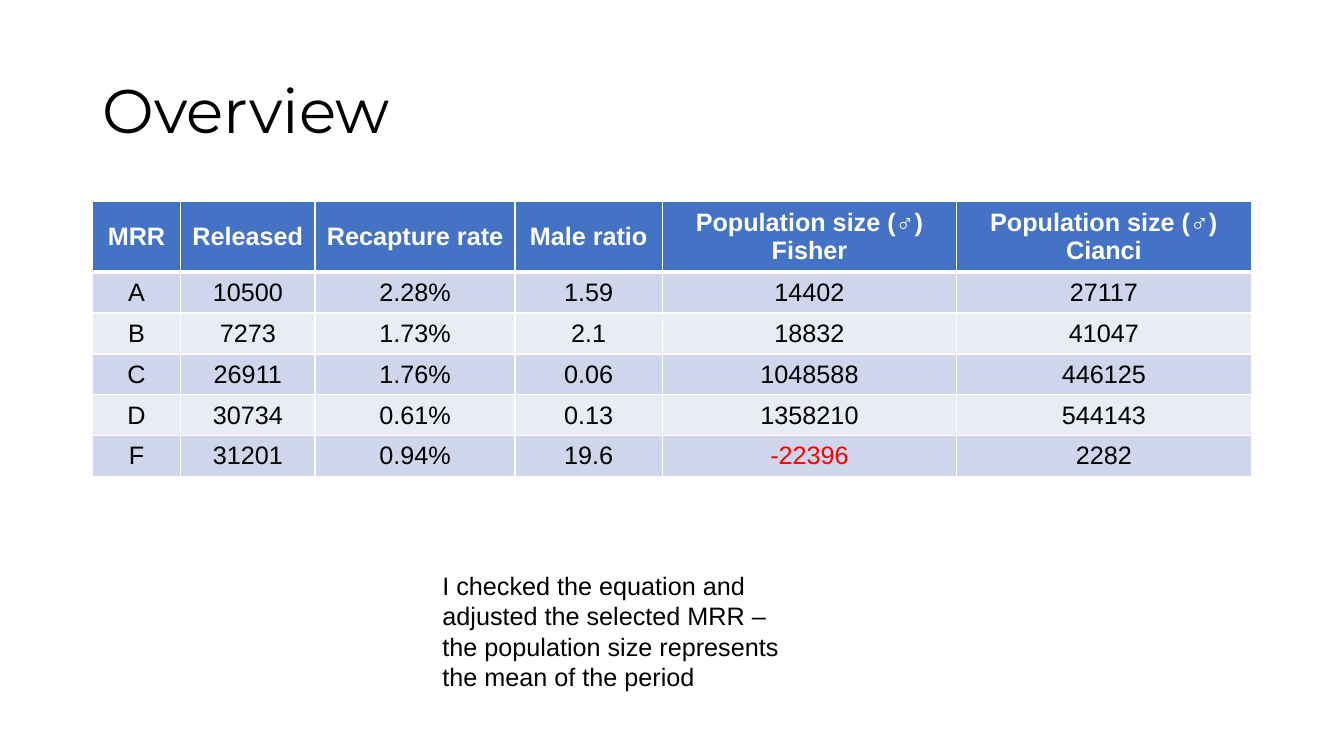
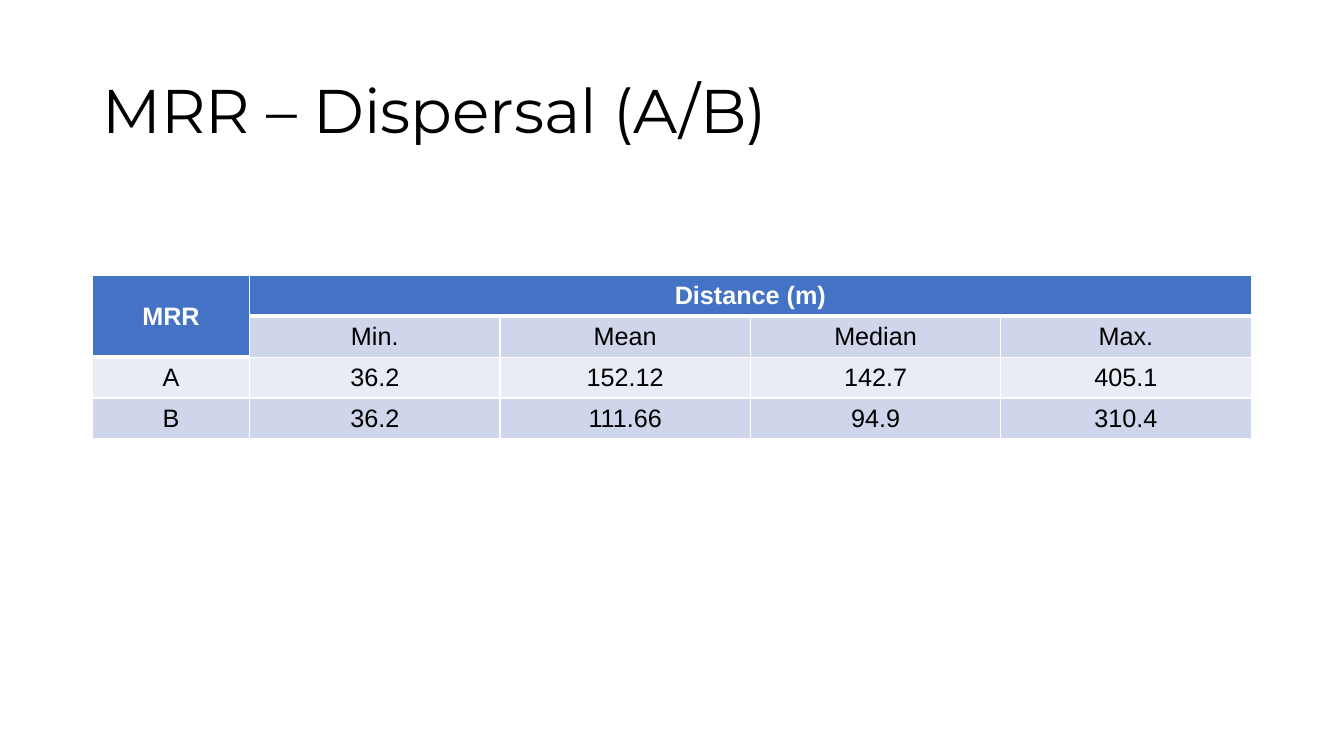
from lxml import etree
from pptx import Presentation, oxml
from pptx.dml.color import RGBColor
from pptx.enum import text
from pptx.oxml.ns import qn
from pptx.util import Cm, Pt

COLORS = {
    "ink": "000000",
    "white": "FFFFFF",
    "header": "4472C4",
    "band_dark": "CFD5EA",
    "band_light": "E9EBF5",
    "alert": "FF0000",
}
LEFT, CONTENT_WIDTH = 2.33, 29.21
ROW_HEIGHT = 1.03

SLIDES = [
    {
        "title": "Overview",
        "top": 5.08,
        "columns": [2.22, 3.39, 5.04, 3.71, 7.42, 7.42],
        "header_height": 1.66,
        "rows": [
            ["MRR", "Released", "Recapture rate", "Male ratio",
             "Population size (♂) Fisher", "Population size (♂) Cianci"],
            ["A", "10500", "2.28%", "1.59", "14402", "27117"],
            ["B", "7273", "1.73%", "2.1", "18832", "41047"],
            ["C", "26911", "1.76%", "0.06", "1048588", "446125"],
            ["D", "30734", "0.61%", "0.13", "1358210", "544143"],
            ["F", "31201", "0.94%", "19.6", "-22396", "2282"],
        ],
        "merges": [],
        "note": "I checked the equation and adjusted the selected MRR – the "
                "population size represents the mean of the period",
    },
    {
        "title": "MRR – Dispersal (A/B)",
        "top": 6.94,
        "columns": [3.96] + [6.31] * 4,
        "header_height": ROW_HEIGHT,
        # None marks a cell covered by a merged header
        "rows": [
            ["MRR", "Distance (m)", None, None, None],
            [None, "Min.", "Mean", "Median", "Max."],
            ["A", "36.2", "152.12", "142.7", "405.1"],
            ["B", "36.2", "111.66", "94.9", "310.4"],
        ],
        "merges": [((0, 0), (1, 0)), ((0, 1), (0, 4))],
        "note": None,
    },
]


def write(frame, content, size=18, font="Arial", color="ink", bold=False,
          align=text.PP_ALIGN.LEFT, spacing=None):
    frame.word_wrap = True
    paragraph = frame.paragraphs[0]
    paragraph.alignment = align
    paragraph.line_spacing = spacing
    run = paragraph.add_run()
    run.text = content
    run.font.size = Pt(size)
    run.font.name = font
    run.font.bold = bold
    run.font.color.rgb = RGBColor.from_string(COLORS[color])


def add_borders(cell, top, bottom):
    """Draw white cell borders; top and bottom are widths in points."""
    properties = cell._tc.get_or_add_tcPr()
    for side, width in (("L", 1), ("R", 1), ("T", top), ("B", bottom)):
        line = etree.SubElement(properties, qn(f"a:ln{side}"), w=str(Pt(width)))
        fill = etree.SubElement(line, qn("a:solidFill"))
        etree.SubElement(fill, qn("a:srgbClr"), val=COLORS["white"])


deck = Presentation()
deck.slide_width, deck.slide_height = Cm(33.87), Cm(19.05)

for content in SLIDES:
    slide = deck.slides.add_slide(deck.slide_layouts[6])

    title = slide.shapes.add_textbox(Cm(LEFT), Cm(1.01), Cm(CONTENT_WIDTH), Cm(3.68))
    title.text_frame.vertical_anchor = text.MSO_ANCHOR.MIDDLE
    write(title.text_frame, content["title"], size=44, font="Montserrat", spacing=0.9)

    rows, columns = content["rows"], content["columns"]
    heights = [content["header_height"]] + [ROW_HEIGHT] * (len(rows) - 1)
    table = slide.shapes.add_table(
        len(rows), len(columns), Cm(LEFT), Cm(content["top"]),
        Cm(sum(columns)), Cm(sum(heights))).table
    for column, width in zip(table.columns, columns):
        column.width = Cm(width)
    for row, height in zip(table.rows, heights):
        row.height = Cm(height)

    for r, values in enumerate(rows):
        for c, value in enumerate(values):
            cell = table.cell(r, c)
            is_header = r == 0 or value is None
            below_header = not is_header and (r == 1 or rows[r - 1][c] is None)
            add_borders(cell, top=3 if below_header else 1, bottom=3 if is_header else 1)
            band = "header" if is_header else "band_dark" if r % 2 else "band_light"
            cell.fill.solid()
            cell.fill.fore_color.rgb = RGBColor.from_string(COLORS[band])
            cell.vertical_anchor = text.MSO_ANCHOR.MIDDLE
            if value is not None:
                color = ("white" if is_header else
                         "alert" if value.startswith("-") else "ink")
                write(cell.text_frame, value, color=color, bold=is_header,
                      align=text.PP_ALIGN.CENTER)
    for first, last in content["merges"]:
        table.cell(*first).merge(table.cell(*last))

    if content["note"]:
        note = slide.shapes.add_textbox(Cm(10.9), Cm(14.25), Cm(9.7), Cm(3.33))
        write(note.text_frame, content["note"])

deck.save("out.pptx")
